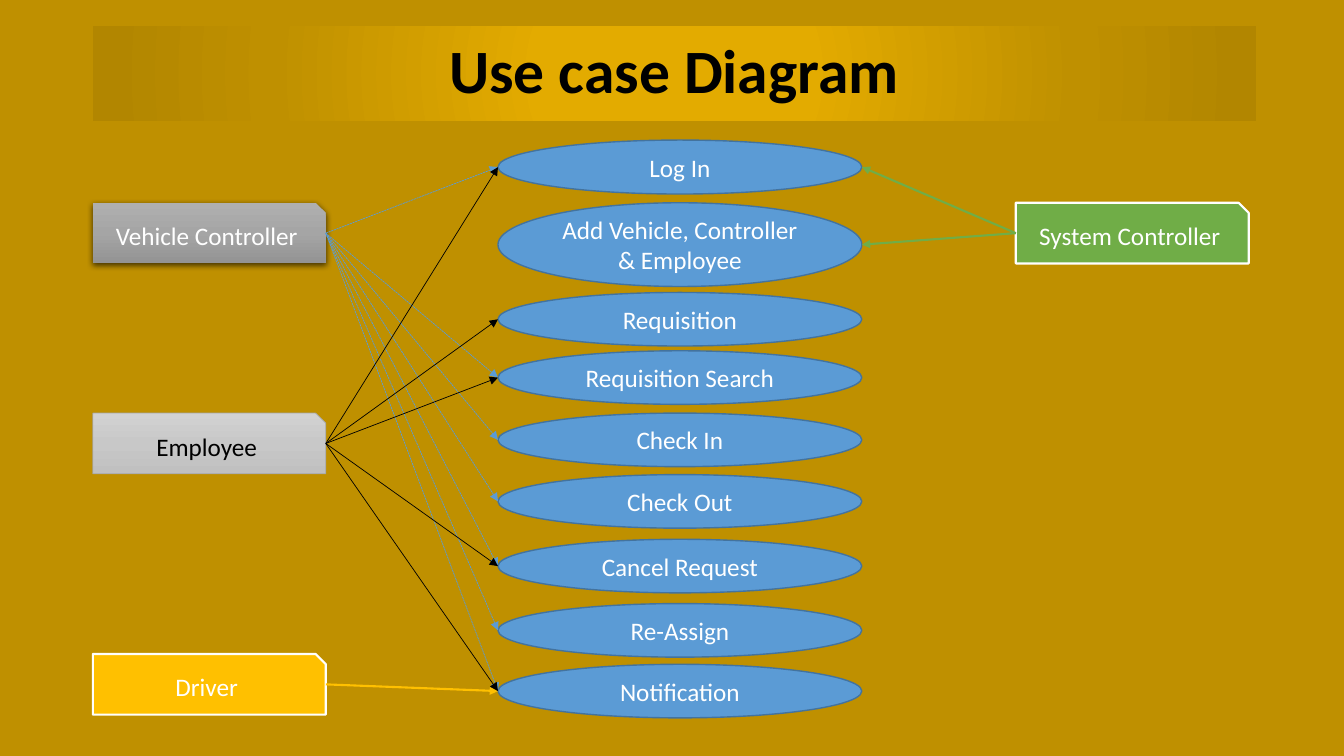
from lxml import etree
from pptx import Presentation
from pptx.dml.color import RGBColor
from pptx.enum import dml, shapes, text
from pptx.oxml import ns
from pptx.util import Cm, Pt

C = {"back": "BF9000", "blue": "5B9BD5", "edge": "43739E", "green": "70AD47",
     "gold": "FFC000", "grey": "A5A5A5", "white": "FFFFFF", "black": "000000"}
GRADIENTS = {
    "title": [(0, "E3AB00"), (23, "E3AB00"), (69, "BF9000"), (97, "B28600")],
    "dark": [(0, "AFAFAF"), (50, "A5A5A5"), (100, "939393")],
    "light": [(0, "D2D2D2"), (50, "C8C8C8"), (100, "C0C0C0")],
}
MSO = shapes.MSO_SHAPE


def child(parent, tag, **attrs):
    el = etree.SubElement(parent, ns.qn("a:" + tag))
    for key, value in attrs.items():
        el.set(key, str(value))
    return el


def add_box(kind, x, y, w, h, label, fill, line=None, width=1, color="white", size=18):
    sp = s.shapes.add_shape(kind, Cm(x), Cm(y), Cm(w), Cm(h))
    sp.shadow.inherit = False
    if fill in GRADIENTS:
        sp.fill.gradient()
        grad = sp._element.spPr.find(ns.qn("a:gradFill"))
        grad.clear()
        stops = child(grad, "gsLst")
        for pos, rgb in GRADIENTS[fill]:
            child(child(stops, "gs", pos=pos * 1000), "srgbClr", val=rgb)
        if fill == "title":
            center = child(grad, "path", path="circle")
            child(center, "fillToRect", l=50000, t=50000, r=50000, b=50000)
        else:
            child(grad, "lin", ang=5400000, scaled=0)
    else:
        sp.fill.solid()
        sp.fill.fore_color.rgb = RGBColor.from_string(C[fill])
    if line:
        sp.line.color.rgb = RGBColor.from_string(C[line])
        sp.line.width = Pt(width)
    else:
        sp.line.fill.background()
    tf = sp.text_frame
    tf.word_wrap = True
    tf.vertical_anchor = text.MSO_ANCHOR.MIDDLE
    p = tf.paragraphs[0]
    p.alignment = text.PP_ALIGN.CENTER
    r = p.add_run()
    r.text = label
    r.font.name = "Calibri"
    r.font.size = Pt(size)
    r.font.color.rgb = RGBColor.from_string(C[color])
    return sp


prs = Presentation()
prs.slide_width, prs.slide_height = Cm(33.87), Cm(19.05)
s = prs.slides.add_slide(prs.slide_layouts[6])
s.background.fill.solid()
s.background.fill.fore_color.rgb = RGBColor.from_string(C["back"])

title = add_box(MSO.RECTANGLE, 2.34, 0.66, 29.31, 2.39, "Use case Diagram",
                "title", color="black", size=44)
p = title.text_frame.paragraphs[0]
p.line_spacing = 0.9
p.runs[0].font.bold = True

cases = {}
for label, y, h in [
    ("Log In", 3.53, 1.36),
    ("Add Vehicle, Controller & Employee", 5.11, 2.11),
    ("Requisition", 7.37, 1.35),
    ("Requisition Search", 8.84, 1.35),
    ("Check In", 10.41, 1.35),
    ("Check Out", 11.96, 1.35),
    ("Cancel Request", 13.59, 1.35),
    ("Re-Assign", 15.21, 1.35),
    ("Notification", 16.74, 1.35),
]:
    cases[label] = add_box(MSO.OVAL, 12.55, y, 9.17, h, label, "blue", "edge")

actors = {}
for label, x, y, fill, line, width, color in [
    ("Vehicle Controller", 2.34, 5.11, "dark", None, 0, "white"),
    ("Employee", 2.34, 10.41, "light", "grey", 0.5, "black"),
    ("Driver", 2.34, 16.48, "gold", "white", 1.5, "white"),
    ("System Controller", 25.6, 5.11, "green", "white", 1.5, "white"),
]:
    actors[label] = add_box(MSO.SNIP_1_RECTANGLE, x, y, 5.87, 1.53, label,
                            fill, line, width, color)

effects = actors["Vehicle Controller"]._element.spPr.find(ns.qn("a:effectLst"))
shadow = child(effects, "outerShdw", blurRad=Pt(4.5), dist=Pt(1.5), dir=5400000,
               algn="ctr", rotWithShape=0)
child(child(shadow, "srgbClr", val=C["black"]), "alpha", val=63000)

for name, color, width, targets in [
    ("System Controller", "green", 1.5, ["Log In", "Add Vehicle, Controller & Employee"]),
    ("Vehicle Controller", "blue", 0.5,
     ["Requisition Search", "Log In", "Check In", "Check Out", "Cancel Request",
      "Re-Assign", "Notification"]),
    ("Driver", "gold", 1.5, ["Notification"]),
    ("Employee", "black", 0.5,
     ["Log In", "Requisition", "Requisition Search", "Cancel Request", "Notification"]),
]:
    actor = actors[name]
    for target in targets:
        case = cases[target]
        on_right = actor.left > case.left
        end_x = case.left + case.width if on_right else case.left
        cx = s.shapes.add_connector(shapes.MSO_CONNECTOR.STRAIGHT, 0, 0,
                                    end_x, case.top + case.height // 2)
        cx.begin_connect(actor, 1 if on_right else 3)
        cx.line.color.rgb = RGBColor.from_string(C[color])
        cx.line.width = Pt(width)
        if color == "blue":
            cx.line.dash_style = dml.MSO_LINE.SQUARE_DOT
        child(cx.line._get_or_add_ln(), "tailEnd", type="triangle")
        child(cx._element.spPr, "effectLst")

prs.save("out.pptx")
